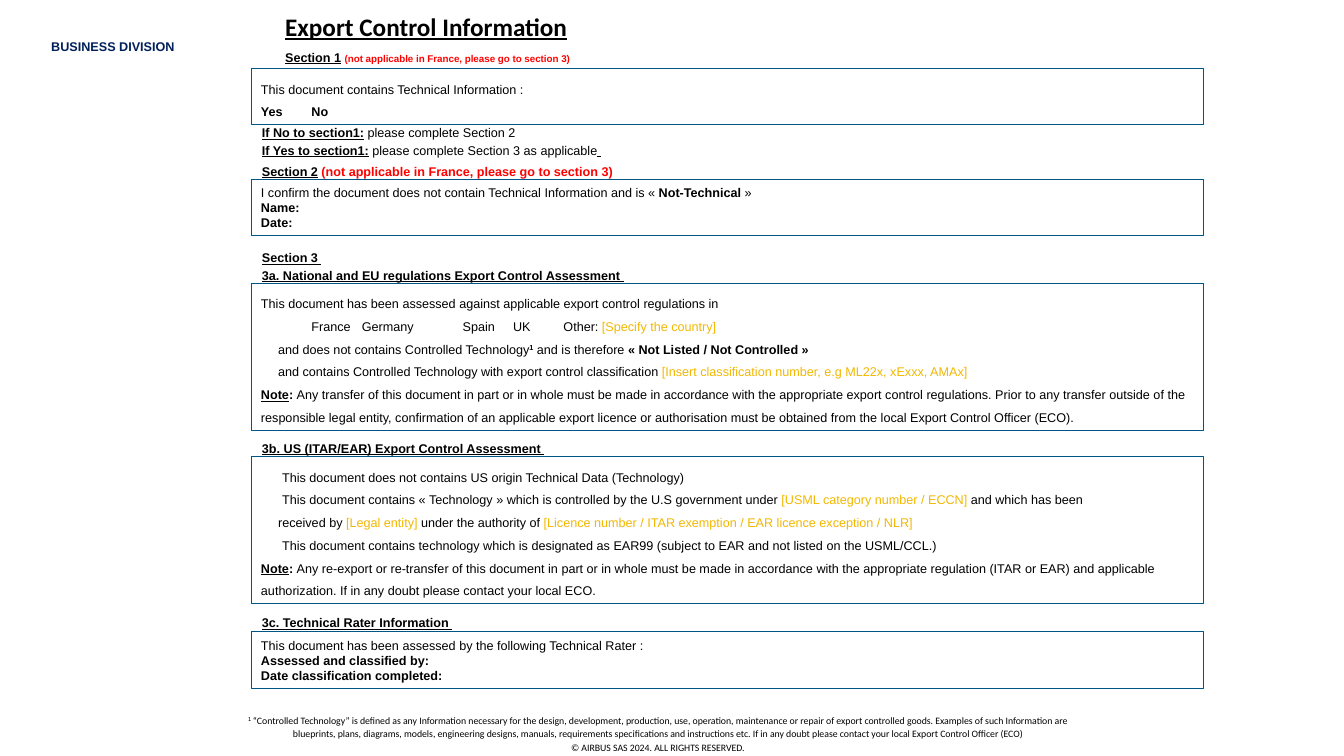
"""Build the Export Control Information form slide."""
from lxml import etree
from pptx import Presentation
from pptx.dml.color import RGBColor
from pptx.enum.shapes import MSO_SHAPE
from pptx.enum.text import MSO_ANCHOR, PP_ALIGN
from pptx.oxml.ns import qn
from pptx.util import Inches, Pt

BLACK = RGBColor(0x00, 0x00, 0x00)
RED = RGBColor(0xFF, 0x00, 0x00)
AMBER = RGBColor(0xF2, 0xB8, 0x00)
NAVY = RGBColor(0x00, 0x20, 0x5B)
FRAME_BLUE = RGBColor(0x00, 0x55, 0x87)
RECTANGLE = MSO_SHAPE.RECTANGLE
TOP, MIDDLE = MSO_ANCHOR.TOP, MSO_ANCHOR.MIDDLE
LEFT, CENTER = PP_ALIGN.LEFT, PP_ALIGN.CENTER

BOLD = {"bold": True}
HEADING = {"bold": True, "underline": True}
FILL_IN = {"color": AMBER}
PLAIN = {}
FRAME_LEFT, FRAME_WIDTH = 2.49, 9.45
LABEL_LEFT, LABEL_WIDTH = 2.5, 10.07

deck = Presentation()
deck.slide_width, deck.slide_height = Inches(13.33), Inches(7.5)
page = deck.slides.add_slide(deck.slide_layouts[6])


def add_box(left, top, width, height, framed=False):
    place = [Inches(value) for value in (left, top, width, height)]
    if framed:
        box = page.shapes.add_shape(RECTANGLE, *place)
        box.shadow.inherit = False
        box.fill.background()
        box.line.color.rgb = FRAME_BLUE
        box.line.width = Pt(0.75)
    else:
        box = page.shapes.add_textbox(*place)
    box.text_frame.word_wrap = True
    box.text_frame.vertical_anchor = MIDDLE if framed else TOP
    return box.text_frame


def add_text(frame, *spans, size=9, font="Arial", spacing=1.15, align=LEFT, indent=0, tabs=()):
    para = frame.paragraphs[0]
    if para.runs:
        para = frame.add_paragraph()
    para.alignment = align
    para.line_spacing = spacing
    properties = para._p.get_or_add_pPr()
    properties.set("marL", str(Inches(indent)))
    properties.set("indent", "0")
    if tabs:
        tab_list = etree.SubElement(properties, qn("a:tabLst"))
        for position in tabs:
            etree.SubElement(tab_list, qn("a:tab"), pos=str(Inches(position)), algn="l")
    for text, style in spans:
        span = para.add_run()
        span.text = text
        span.font.name = style.get("font", font)
        span.font.size = Pt(style.get("size", size))
        span.font.bold = style.get("bold", False)
        span.font.underline = style.get("underline", False)
        span.font.color.rgb = style.get("color", BLACK)
        if style.get("raised"):
            span.font._element.set("baseline", "30000")


division = add_box(0.41, 0.34, 1.7, 0.25)
add_text(division, ("BUSINESS DIVISION", {"bold": True, "color": NAVY}), spacing=1.0)

title = add_box(2.73, 0.03, 6.3, 0.44)
add_text(title, ("Export Control Information", HEADING), size=18, font="Calibri", spacing=1.1)

not_in_france = "(not applicable in France, please go to section 3)"
section_1 = add_box(2.73, 0.42, 7.87, 0.28)
add_text(section_1, ("Section 1", HEADING), (" ", PLAIN),
         (not_in_france, {"bold": True, "color": RED, "size": 7}))

technical = add_box(FRAME_LEFT, 0.68, FRAME_WIDTH, 0.56, framed=True)
add_text(technical, ("This document contains Technical Information :", PLAIN), spacing=1.5)
add_text(technical, ("Yes\tNo", BOLD), spacing=1.5, tabs=[0.42])

routing = add_box(LABEL_LEFT, 1.17, LABEL_WIDTH, 0.45)
add_text(routing, ("If No to section1:", HEADING), (" please complete Section 2", PLAIN))
add_text(routing, ("If Yes to section1:", HEADING),
         (" please complete Section 3 as applicable", PLAIN), (" ", HEADING))

section_2 = add_box(LABEL_LEFT, 1.55, LABEL_WIDTH, 0.28)
add_text(section_2, ("Section 2", HEADING), (" ", PLAIN),
         (not_in_france, {"bold": True, "color": RED}))

confirmation = add_box(FRAME_LEFT, 1.78, FRAME_WIDTH, 0.56, framed=True)
add_text(confirmation,
         ("I confirm the document does not contain Technical Information and is « ", PLAIN),
         ("Not-Technical", BOLD), (" »", PLAIN), spacing=1.0)
for field in ("Name:", "Date:"):
    add_text(confirmation, (field, BOLD), spacing=1.0)

for top, height, headings in (
    (2.41, 0.45, ["Section 3 ", "3a. National and EU regulations Export Control Assessment "]),
    (4.3, 0.28, ["3b. US (ITAR/EAR) Export Control Assessment "]),
    (6.03, 0.28, ["3c. Technical Rater Information "]),
):
    label = add_box(LABEL_LEFT, top, LABEL_WIDTH, height)
    for heading in headings:
        add_text(label, (heading, HEADING))

national = add_box(FRAME_LEFT, 2.81, FRAME_WIDTH, 1.46, framed=True)
add_text(national, ("This document has been assessed against applicable export control "
                    "regulations in", PLAIN), spacing=1.5)
add_text(national, ("\tFrance\tGermany\tSpain\tUK\tOther: ", PLAIN),
         ("[Specify the country]", FILL_IN), spacing=1.5,
         tabs=[0.21] + [column + 0.03 for column in range(1, 5)])
add_text(national, ("and does not contains Controlled Technology", PLAIN),
         ("1", {"bold": True, "raised": True}), (" and is therefore ", PLAIN),
         ("« Not Listed / Not Controlled »", BOLD), spacing=1.5, indent=0.17)
add_text(national,
         ("and contains Controlled Technology with export control classification ", PLAIN),
         ("[Insert classification number, e.g ML22x, xExxx, AMAx]", FILL_IN),
         spacing=1.5, indent=0.17)

us_rules = add_box(FRAME_LEFT, 4.53, FRAME_WIDTH, 1.46, framed=True)
add_text(us_rules, ("This document does not contains US origin Technical Data (Technology)", PLAIN),
         spacing=1.5, indent=0.21)
add_text(us_rules, ("This document contains « Technology » which is controlled by the "
                    "U.S government under ", PLAIN),
         ("[USML category number / ECCN] ", FILL_IN), ("and which has been", PLAIN),
         spacing=1.5, indent=0.21)
add_text(us_rules, ("received by ", PLAIN), ("[Legal entity]", FILL_IN),
         (" under the authority of ", PLAIN),
         ("[Licence number / ITAR exemption / EAR licence exception / NLR]", FILL_IN),
         spacing=1.5, indent=0.17)
add_text(us_rules, ("This document contains technology which is designated as EAR99 "
                    "(subject to EAR and not listed on the USML/CCL.)", PLAIN),
         spacing=1.5, indent=0.21)

for frame, note in (
    (national, "Any transfer of this document in part or in whole must be made in accordance with "
               "the appropriate export control regulations. Prior to any transfer outside of the "
               "responsible legal entity, confirmation of an applicable export licence or "
               "authorisation must be obtained from the local Export Control Officer (ECO)."),
    (us_rules, "Any re-export or re-transfer of this document in part or in whole must be made in "
               "accordance with the appropriate regulation (ITAR or EAR) and applicable "
               "authorization. If in any doubt please contact your local ECO."),
):
    add_text(frame, ("Note", HEADING), (": ", BOLD), (note, PLAIN), spacing=1.5)

rater = add_box(FRAME_LEFT, 6.27, FRAME_WIDTH, 0.56, framed=True)
add_text(rater, ("This document has been assessed by the following Technical Rater :", PLAIN),
         spacing=1.0)
for field in ("Assessed and classified by:", "Date classification completed:"):
    add_text(rater, (field, BOLD), spacing=1.0)

footnote = add_box(2.29, 7.02, 8.47, 0.51)
add_text(footnote, ("1 ", {"font": "Arial", "raised": True}),
         ("“Controlled Technology” is defined as any Information necessary for the design, "
          "development, production, use, operation, maintenance or repair of export controlled "
          "goods. Examples of such Information are blueprints, plans, diagrams, models, "
          "engineering designs, manuals, requirements specifications and instructions etc. If in "
          "any doubt please contact your local Export Control Officer (ECO)", PLAIN),
         size=7, font="Calibri", align=CENTER)
add_text(footnote, ("© AIRBUS SAS 2024. ALL RIGHTS RESERVED.", PLAIN),
         size=7, font="Calibri", align=CENTER)

deck.save("out.pptx")
